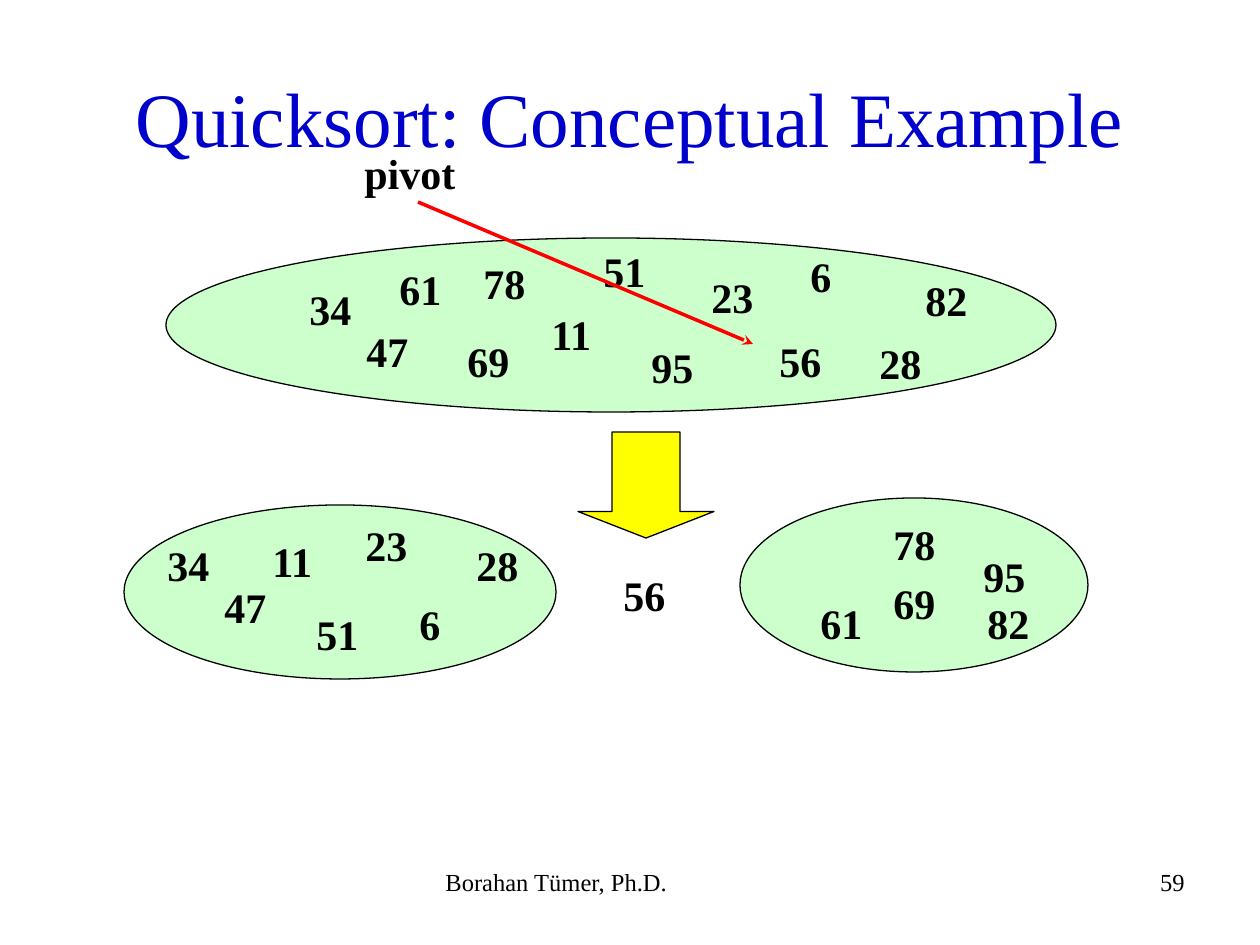
import pptx
import pptx.dml.color
import pptx.enum.shapes
import pptx.enum.text
import pptx.oxml.ns
import pptx.util
from lxml import etree

RGBColor = pptx.dml.color.RGBColor
BLACK = RGBColor(0x00, 0x00, 0x00)
BLUE = RGBColor(0x00, 0x00, 0xCC)
GREEN = RGBColor(0xCC, 0xFF, 0xCC)
YELLOW = RGBColor(0xFF, 0xFF, 0x00)
RED = RGBColor(0xFF, 0x00, 0x00)

EMU_PER_PX = 914400 / 126
ALIGN = pptx.enum.text.PP_ALIGN
ANCHOR = pptx.enum.text.MSO_ANCHOR
SHAPE = pptx.enum.shapes.MSO_SHAPE

# Each set: ellipse box, then (value, left, top) of its members
UNSORTED = ((166, 238, 890, 174), [
    (34, 297, 277), (47, 354, 319), (11, 539, 302), (56, 767, 329),
    (23, 699, 265), (82, 913, 268), (51, 591, 239), (78, 471, 251),
    (95, 639, 335), (69, 455, 329), (6, 798, 244), (28, 867, 331),
    (61, 387, 257),
])
SMALLER = ((124, 505, 432, 174), [
    (34, 155, 533), (47, 212, 575), (11, 260, 529), (23, 353, 513),
    (51, 304, 602), (6, 407, 592), (28, 464, 533),
])
LARGER = ((740, 498, 348, 174), [
    (82, 975, 591), (78, 881, 512), (95, 971, 544), (69, 881, 571),
    (61, 808, 591),
])


def px(value):
    return pptx.util.Emu(round(value * EMU_PER_PX))


class SlideBuilder:
    font_name = "Times New Roman"
    label_size = 24
    label_height = 63
    outline_width = 0.75

    def __init__(self, slide):
        self.slide = slide

    def text(self, text, box, size, color=BLACK, align=ALIGN.LEFT,
             bold=False, anchor=ANCHOR.TOP, wrap=True):
        shape = self.slide.shapes.add_textbox(*map(px, box))
        frame = shape.text_frame
        frame.word_wrap = wrap
        frame.vertical_anchor = anchor
        if not wrap:
            frame.auto_size = pptx.enum.text.MSO_AUTO_SIZE.SHAPE_TO_FIT_TEXT
        paragraph = frame.paragraphs[0]
        paragraph.text = text
        paragraph.alignment = align
        font = paragraph.font
        font.name = self.font_name
        font.size = pptx.util.Pt(size)
        font.bold = bold
        font.color.rgb = color

    def label(self, text, left, top, width):
        self.text(text, (left, top, width, self.label_height),
                  self.label_size, bold=True, wrap=False)

    def number(self, value, left, top):
        self.label(str(value), left, top, 67 if value > 9 else 45)

    def shape(self, kind, box, fill):
        shape = self.slide.shapes.add_shape(kind, *map(px, box))
        shape.shadow.inherit = False
        shape.fill.solid()
        shape.fill.fore_color.rgb = fill
        shape.line.color.rgb = BLACK
        shape.line.width = pptx.util.Pt(self.outline_width)
        return shape

    def number_set(self, box, members):
        self.shape(SHAPE.OVAL, box, GREEN)
        for member in members:
            self.number(*member)

    def down_arrow(self, box):
        shape = self.shape(SHAPE.DOWN_ARROW, box, YELLOW)
        shape.adjustments[0] = 0.5
        shape.adjustments[1] = 0.25

    def pointer(self, start, end):
        connector = self.slide.shapes.add_connector(
            pptx.enum.shapes.MSO_CONNECTOR.STRAIGHT, *map(px, start + end))
        connector.line.color.rgb = RED
        connector.line.width = pptx.util.Pt(2)
        qn = pptx.oxml.ns.qn
        etree.SubElement(connector.line._get_or_add_ln(), qn("a:tailEnd"),
                         type="stealth")
        etree.SubElement(connector._element.spPr, qn("a:effectLst"))


def main():
    presentation = pptx.Presentation()
    presentation.slide_width = pptx.util.Inches(10)
    presentation.slide_height = pptx.util.Inches(7.5)
    blank = presentation.slide_layouts[6]
    builder = SlideBuilder(presentation.slides.add_slide(blank))

    builder.text("Quicksort: Conceptual Example", (63, 38, 1134, 158), 44,
                 BLUE, ALIGN.CENTER, anchor=ANCHOR.MIDDLE)
    builder.number_set(*UNSORTED)
    builder.pointer((418, 202), (753, 344))
    builder.label("pivot", 352, 141, 116)
    builder.number_set(*SMALLER)
    builder.number_set(*LARGER)
    builder.number(56, 611, 563)
    builder.down_arrow((578, 432, 136, 106))
    builder.text("Borahan Tümer, Ph.D.", (433, 861, 399, 66), 14)
    builder.text("59", (903, 861, 294, 66), 14, align=ALIGN.RIGHT)

    presentation.save("out.pptx")


if __name__ == "__main__":
    main()
